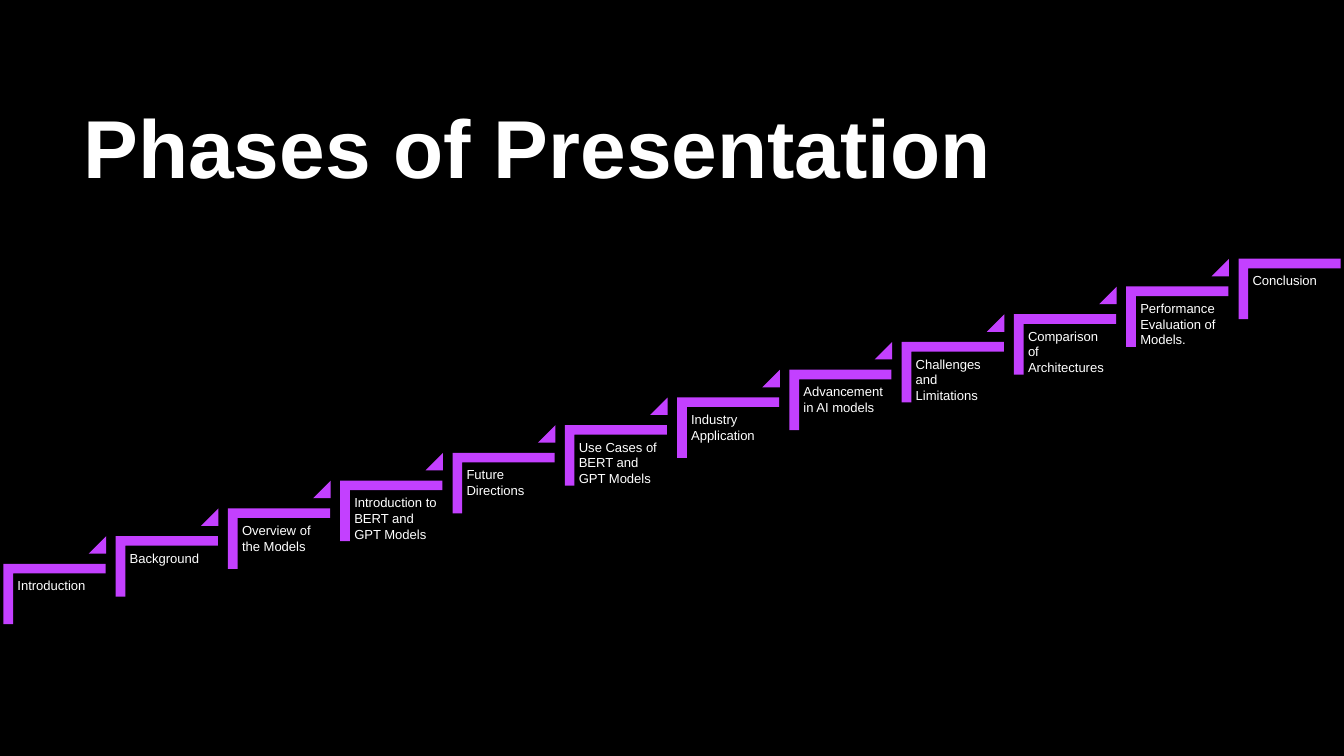
from dataclasses import dataclass

import pptx
import pptx.dml.color
import pptx.enum.shapes
import pptx.enum.text
import pptx.util

Inches = pptx.util.Inches
SHAPE = pptx.enum.shapes.MSO_SHAPE
ANCHOR = pptx.enum.text.MSO_ANCHOR

COLORS = {"back": "000000", "text": "FFFFFF", "stair": "C340FF"}
FONT = "Arial"
WIDTH = 10
HEIGHT = WIDTH * 9 / 16

LABELS = [
    "Introduction",
    "Background",
    "Overview of the Models",
    "Introduction to BERT and GPT Models",
    "Future Directions",
    "Use Cases of BERT and GPT Models",
    "Industry Application",
    "Advancement in AI models",
    "Challenges and Limitations",
    "Comparison of Architectures",
    "Performance Evaluation of Models.",
    "Conclusion",
]
GAPS = len(LABELS) - 1
RUN = (9.37 - 0.18) / GAPS
RISE = (4.04 - 1.77) / GAPS


@dataclass
class Step:
    label: str
    left: float
    top: float
    last: bool


def color(name: str) -> pptx.dml.color.RGBColor:
    return pptx.dml.color.RGBColor.from_string(COLORS[name])


def set_font(para, size: float, bold: bool = False) -> None:
    para.font.name = FONT
    para.font.size = pptx.util.Pt(size)
    para.font.bold = bold
    para.font.color.rgb = color("text")


def set_insets(frame, inset: float) -> None:
    frame.margin_left = frame.margin_right = Inches(inset)
    frame.margin_top = frame.margin_bottom = Inches(inset)


def add_solid(shapes, kind, left: float, top: float, width: float, height: float):
    shape = shapes.add_shape(
        kind, Inches(left), Inches(top), Inches(width), Inches(height)
    )
    shape.shadow.inherit = False
    shape.fill.solid()
    shape.fill.fore_color.rgb = color("stair")
    shape.line.fill.background()
    return shape


def add_step(shapes, step: Step) -> None:
    corner = add_solid(shapes, SHAPE.CORNER, step.left, step.top, 0.45, 0.76)
    corner.rotation = 90
    corner.adjustments[0] = corner.adjustments[1] = 0.16

    box = shapes.add_textbox(
        Inches(step.left - 0.08), Inches(step.top + 0.23), Inches(0.68), Inches(0.6)
    )
    frame = box.text_frame
    frame.word_wrap = True
    set_insets(frame, 0.03)
    frame.text = step.label
    set_font(frame.paragraphs[0], 7)

    if not step.last:
        wedge = add_solid(
            shapes,
            SHAPE.ISOSCELES_TRIANGLE,
            step.left + 0.48,
            step.top - 0.05,
            0.13,
            0.13,
        )
        wedge.adjustments[0] = 1


def add_title(slide, text: str) -> None:
    title = slide.shapes.title
    title.left, title.top = Inches(0.62), Inches(0.55)
    title.width, title.height = Inches(6.79), Inches(1.16)
    frame = title.text_frame
    frame.text = text
    frame.word_wrap = True
    frame.auto_size = pptx.enum.text.MSO_AUTO_SIZE.NONE
    frame.vertical_anchor = ANCHOR.MIDDLE
    set_insets(frame, 0)
    para = frame.paragraphs[0]
    para.alignment = pptx.enum.text.PP_ALIGN.LEFT
    para.line_spacing = 0.9
    set_font(para, 44, bold=True)


def main() -> None:
    deck = pptx.Presentation()
    deck.slide_width, deck.slide_height = Inches(WIDTH), Inches(HEIGHT)
    slide = deck.slides.add_slide(deck.slide_layouts[5])
    slide.background.fill.solid()
    slide.background.fill.fore_color.rgb = color("back")

    add_title(slide, "Phases of Presentation")
    stairs = slide.shapes.add_group_shape()
    for i, label in enumerate(LABELS):
        step = Step(label, 0.18 + i * RUN, 4.04 - i * RISE, i == GAPS)
        add_step(stairs.shapes, step)

    deck.save("out.pptx")


if __name__ == "__main__":
    main()
